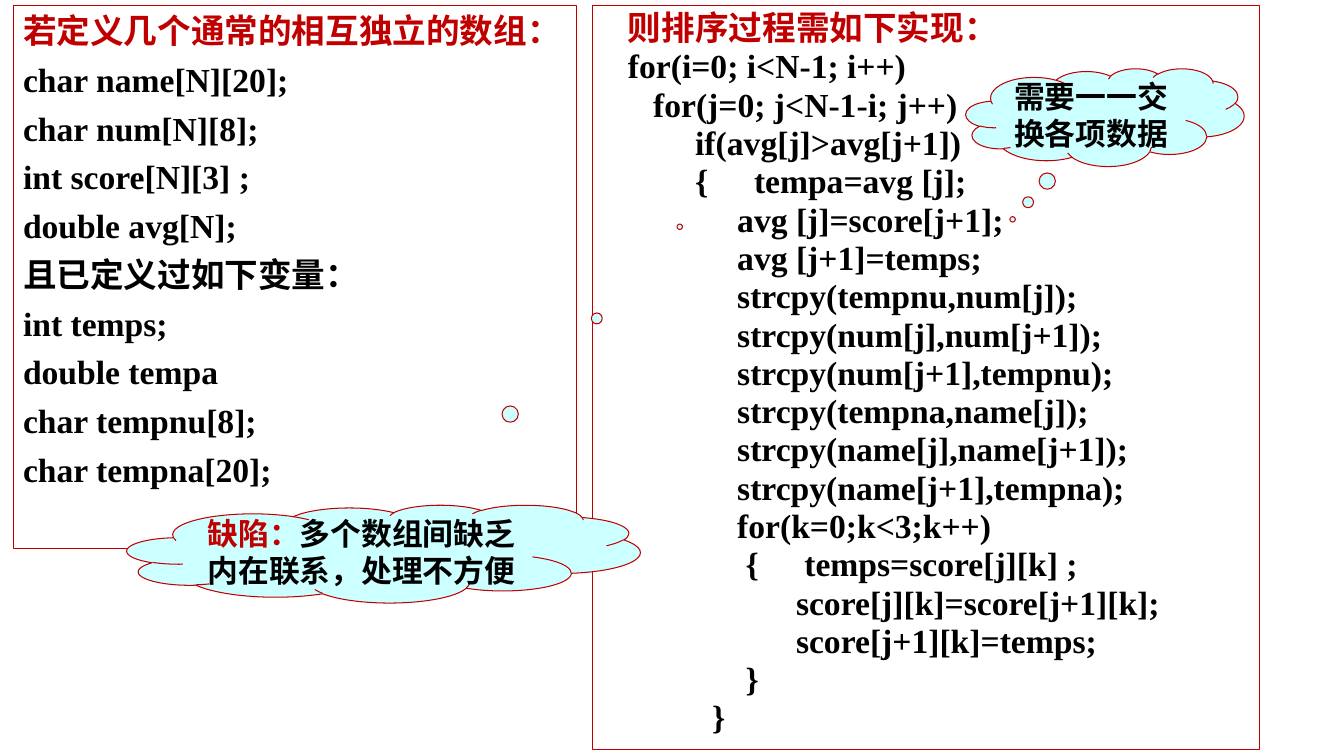
import pptx
import pptx.util
import pptx.enum.shapes
import pptx.enum.text
import pptx.dml.color
import pptx.oxml
import pptx.oxml.ns
import lxml.etree

Inches = pptx.util.Inches
Pt = pptx.util.Pt
Shape = pptx.enum.shapes.MSO_SHAPE
Align = pptx.enum.text.PP_ALIGN
Anchor = pptx.enum.text.MSO_ANCHOR
qn = pptx.oxml.ns.qn

COLORS = {"red": "C00000", "black": "000000", "cloud": "CCFFFF"}
CJK = "Noto Sans CJK SC"
LATIN = "Times New Roman"
SPACE = 6 / 72

DECLARATIONS = [
    "char name[N][20];",
    "char num[N][8];",
    "int score[N][3] ;",
    "double avg[N];",
    "且已定义过如下变量：",
    "int temps;",
    "double tempa",
    "char tempnu[8];",
    "char tempna[20];",
]

SORT_CODE = [
    (0, "for(i=0; i<N-1; i++)"),
    (3, "for(j=0; j<N-1-i; j++)"),
    (8, "if(avg[j]>avg[j+1])"),
    (8, "{\ttempa=avg [j];"),
    (13, "avg [j]=score[j+1];"),
    (13, "avg [j+1]=temps;"),
    (13, "strcpy(tempnu,num[j]);"),
    (13, "strcpy(num[j],num[j+1]);"),
    (13, "strcpy(num[j+1],tempnu);"),
    (13, "strcpy(tempna,name[j]);"),
    (13, "strcpy(name[j],name[j+1]);"),
    (13, "strcpy(name[j+1],tempna);"),
    (13, "for(k=0;k<3;k++)"),
    (14, "{\ttemps=score[j][k] ;"),
    (20, "score[j][k]=score[j+1][k];"),
    (20, "score[j+1][k]=temps;"),
    (14, "}"),
    (10, "}"),
]


class Deck:
    def __init__(self):
        self.prs = pptx.Presentation()
        self.prs.slide_width = Inches(13.33)
        self.prs.slide_height = Inches(7.5)
        self.s = self.prs.slides.add_slide(self.prs.slide_layouts[6])

    def color(self, name):
        return pptx.dml.color.RGBColor.from_string(COLORS[name])

    def shape(self, kind, box, fill=None):
        sp = self.s.shapes.add_shape(kind, *map(Inches, box))
        sp.shadow.inherit = False
        if fill:
            sp.fill.solid()
            sp.fill.fore_color.rgb = self.color(fill)
        else:
            sp.fill.background()
        sp.line.color.rgb = self.color("red")
        sp.line.width = Pt(0.75)
        sp.text_frame.word_wrap = True
        return sp

    def run(self, p, text, size=24, color="black"):
        r = p.add_run()
        r.text = text
        r.font.size = Pt(size)
        r.font.bold = True
        r.font.color.rgb = self.color(color)
        r.font.name = LATIN if text.isascii() else CJK
        ea = lxml.etree.Element(qn("a:ea"), typeface=CJK)
        r.font._element.find(qn("a:latin")).addnext(ea)

    def indent(self, p, first_line, tab):
        pPr = p._p.get_or_add_pPr()
        pPr.set("marL", "0")
        pPr.set("indent", str(Inches(first_line)))
        if tab:
            tabs = lxml.etree.SubElement(pPr, qn("a:tabLst"))
            lxml.etree.SubElement(tabs, qn("a:tab"), pos=str(Inches(tab)), algn="l")

    def panel(self, box, lines, align, before=0, spacing=None, margin=0):
        tf = self.shape(Shape.RECTANGLE, box).text_frame
        tf.vertical_anchor = Anchor.TOP
        tf.auto_size = pptx.enum.text.MSO_AUTO_SIZE.SHAPE_TO_FIT_TEXT
        for i, (depth, text) in enumerate(lines):
            p = tf.add_paragraph() if i else tf.paragraphs[0]
            p.alignment = align
            p.space_before = Pt(before)
            p.line_spacing = spacing
            start = margin + depth * SPACE
            tab = start + 0.13 + (3 if depth == 8 else 4) * SPACE
            self.indent(p, start, tab if "\t" in text else None)
            self.run(p, text, color="black" if i else "red")

    def cloud(self, box, tail, runs):
        sp = self.shape(Shape.CLOUD_CALLOUT, box, "cloud")
        for i, value in enumerate(tail):
            sp.adjustments[i] = value
        tf = sp.text_frame
        tf.vertical_anchor = Anchor.MIDDLE
        p = tf.paragraphs[0]
        p.alignment = Align.LEFT
        for text, color in runs:
            self.run(p, text, 22, color)


def main():
    deck = Deck()
    declarations = ["若定义几个通常的相互独立的数组："] + DECLARATIONS
    deck.panel((0.13, 0.05, 5.59, 5.39), [(0, text) for text in declarations],
               Align.LEFT, before=6)
    deck.panel((5.88, 0.05, 6.61, 7.39), [(0, "则排序过程需如下实现：")] + SORT_CODE,
               Align.JUSTIFY, spacing=0.95, margin=0.25)
    deck.cloud((1.26, 5.01, 5.09, 0.97), (0.577, -3.345),
               [("缺陷：", "red"), ("多个数组间缺乏内在联系，处理不方便", "black")])
    deck.cloud((9.58, 0.68, 2.76, 0.97), (-0.332, 1.043),
               [("需要一一交换各项数据", "black")])
    deck.prs.save("out.pptx")


if __name__ == "__main__":
    main()
